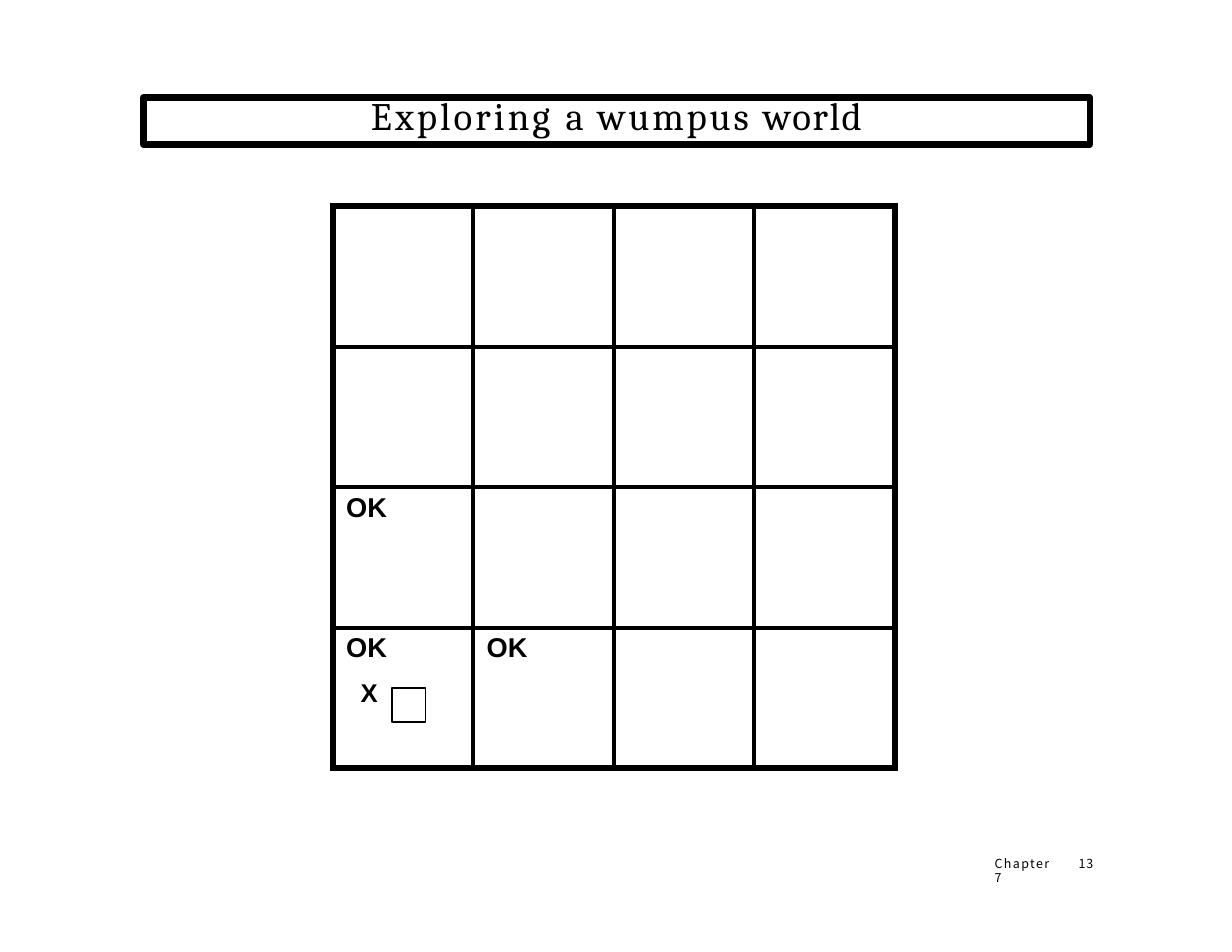
from lxml.etree import SubElement
from pptx import Presentation
from pptx.dml.color import RGBColor
from pptx.enum.shapes import MSO_SHAPE
from pptx.enum.text import MSO_ANCHOR, MSO_AUTO_SIZE, PP_ALIGN
from pptx.oxml.ns import qn
from pptx.util import Inches, Pt

BLACK = RGBColor(0, 0, 0)
GRID_SIZE = 4


def add_run(paragraph, text, size=17.5, font="Arial", bold=False, spacing=0):
    run = paragraph.add_run()
    run.text = text
    run.font.size = Pt(size)
    run.font.name = font
    run.font.bold = bold
    run.font.color.rgb = BLACK
    properties = run.font._element
    properties.set("spc", str(round(spacing * 100)))
    for tag in ("a:ea", "a:cs"):
        SubElement(properties, qn(tag)).set("typeface", font)


def prepare_frame(frame):
    frame.margin_left = frame.margin_right = 0
    frame.margin_top = frame.margin_bottom = 0
    frame.vertical_anchor = MSO_ANCHOR.TOP
    frame.word_wrap = True
    frame.auto_size = MSO_AUTO_SIZE.NONE
    return frame.paragraphs[0]


presentation = Presentation()
presentation.slide_width = Inches(11)
presentation.slide_height = Inches(8.5)
slide = presentation.slides.add_slide(presentation.slide_layouts[5])

title = slide.shapes.title
title.left, title.top = Inches(1.28), Inches(0.87)
title.width, title.height = Inches(8.45), Inches(0.42)
title.line.color.rgb = BLACK
title.line.width = Pt(4.08)
SubElement(title.line._ln, qn("a:round"))
paragraph = prepare_frame(title.text_frame)
paragraph.alignment = PP_ALIGN.CENTER
paragraph.line_spacing = Pt(26.4)
for word, spacing in (("Exploring ", 2), ("a ", 1.7), ("wumpus ", 1.8), ("world", 1.1)):
    add_run(paragraph, word, size=25, font="Cambria", spacing=spacing)

agent = slide.shapes.add_shape(
    MSO_SHAPE.RECTANGLE, Inches(3.5), Inches(6.14), Inches(0.3), Inches(0.31)
)
agent.shadow.inherit = False
agent.fill.background()
agent.line.color.rgb = BLACK
agent.line.width = Pt(1.25)

world = slide.shapes.add_table(
    GRID_SIZE, GRID_SIZE, Inches(2.97), Inches(1.84), Inches(5.02), Inches(5.02)
).table
world.first_row = False
world.horz_banding = False
last = GRID_SIZE - 1
for row in range(GRID_SIZE):
    for column in range(GRID_SIZE):
        cell = world.cell(row, column)
        cell.margin_left = cell.margin_right = cell.margin_bottom = 0
        cell.margin_top = Inches(0.05)
        properties = cell._tc.get_or_add_tcPr()
        outer_sides = (
            ("a:lnL", column == 0),
            ("a:lnR", column == last),
            ("a:lnT", row == 0),
            ("a:lnB", row == last),
        )
        for tag, is_outer in outer_sides:
            border = SubElement(properties, qn(tag))
            border.set("w", str(Pt(4.5 if is_outer else 3)))
            fill = SubElement(border, qn("a:solidFill"))
            SubElement(fill, qn("a:srgbClr")).set("val", str(BLACK))
        cell.fill.background()

for row, column in ((2, 0), (3, 0), (3, 1)):
    paragraph = world.cell(row, column).text_frame.paragraphs[0]
    paragraph.space_before = Pt(3.7)
    paragraph._p.get_or_add_pPr().set("marL", str(Inches(0.12)))
    add_run(paragraph, "OK", bold=True, spacing=0.1)

paragraph = world.cell(3, 0).text_frame.add_paragraph()
paragraph.space_before = Pt(10.2)
paragraph._p.get_or_add_pPr().set("marL", str(Inches(0.25)))
add_run(paragraph, "X", size=16.5, bold=True)

footers = (
    (8.87, 0.55, 0.01, (("Chapter ", 0.9), ("7", 0.5))),
    (9.59, 0.21, 0.04, (("13", 0.5),)),
)
for left, width, indent, words in footers:
    footer = slide.shapes.add_textbox(Inches(left), Inches(7.66), Inches(width), Inches(0.14))
    paragraph = prepare_frame(footer.text_frame)
    paragraph.line_spacing = Pt(8.6)
    paragraph._p.get_or_add_pPr().set("marL", str(Inches(indent)))
    for word, spacing in words:
        add_run(paragraph, word, size=8, font="Noto Sans CJK TC", spacing=spacing)

presentation.save("out.pptx")
